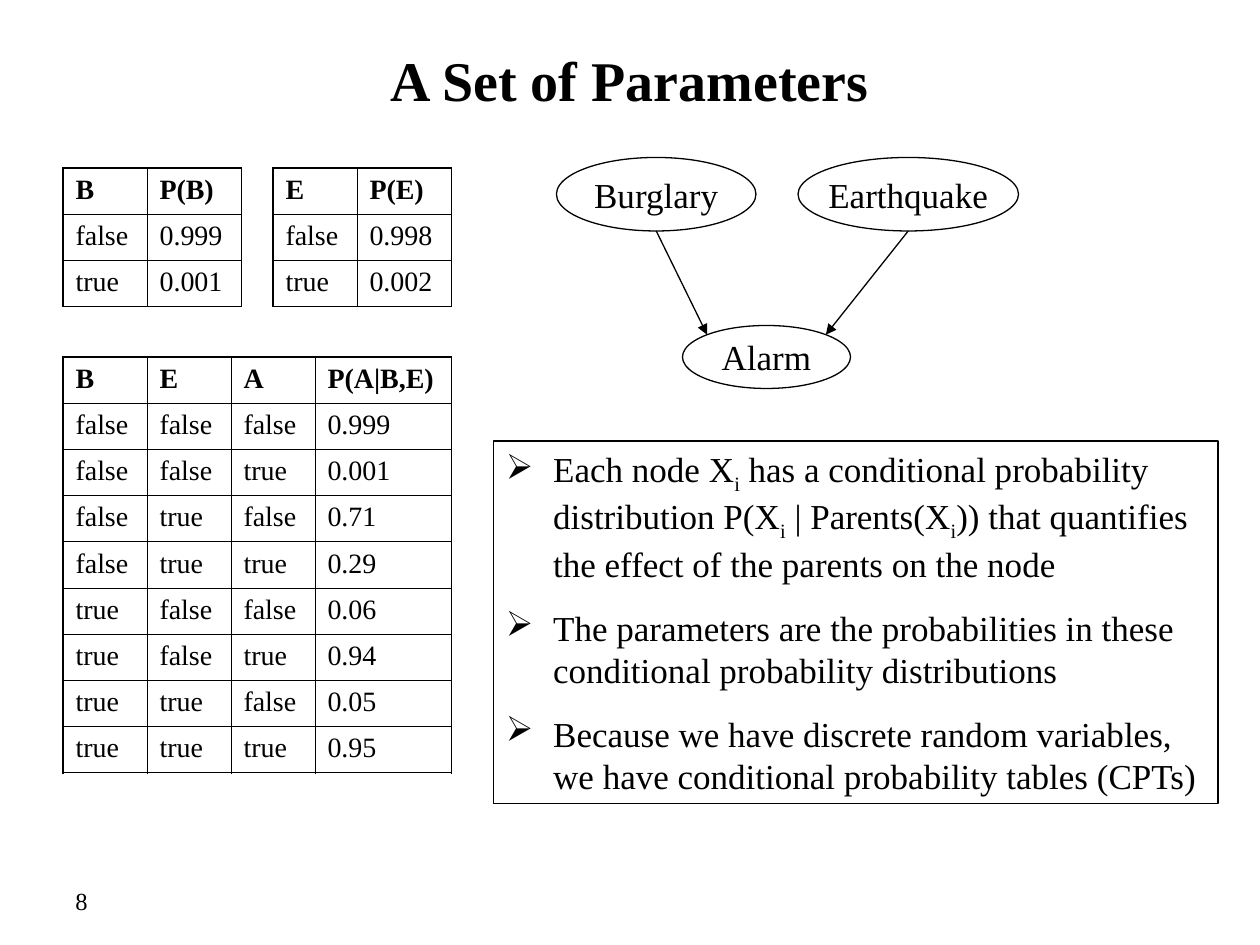
from dataclasses import dataclass
from math import sqrt

from lxml import etree
from pptx import Presentation
from pptx.dml.color import RGBColor
from pptx.enum import shapes, text
from pptx.oxml import ns
from pptx.util import Pt

FONT = "Times New Roman"
HEX = {"ink": "000000", "paper": "FFFFFF"}
INK = RGBColor.from_string(HEX["ink"])
THIN, THICK = 0.45, 1.08
ROW = 26.4
LEFT, MID = text.PP_ALIGN.LEFT, text.PP_ALIGN.CENTER


@dataclass
class Node:
    name: str
    x: float
    y: float
    w: float
    h: float

    @property
    def foot(self) -> tuple[float, float]:
        return self.x + self.w / 2, self.y + self.h

    def shoulder(self, side: int) -> tuple[float, float]:
        """Point on the rim at 45 degrees, left for -1 and right for 1."""
        return (self.x + self.w / 2 * (1 + side / sqrt(2)),
                self.y + self.h / 2 * (1 - 1 / sqrt(2)))


@dataclass
class Grid:
    x: float
    y: float
    cols: list[float]
    rows: list[str]


BURG = Node("Burglary", 318, 90, 114, 42)
QUAKE = Node("Earthquake", 456, 90, 126, 42)
ALARM = Node("Alarm", 390, 186, 96, 36)

GRIDS = [
    Grid(36, 96, [48, 54], ["B P(B)", "false 0.999", "true 0.001"]),
    Grid(156, 96, [48, 54], ["E P(E)", "false 0.998", "true 0.002"]),
    Grid(36, 204, [48, 48, 48, 78], [
        "B E A P(A|B,E)",
        "false false false 0.999",
        "false false true 0.001",
        "false true false 0.71",
        "false true true 0.29",
        "true false false 0.06",
        "true false true 0.94",
        "true true false 0.05",
        "true true true 0.95",
    ]),
]

# Underscores enclose subscripts
POINTS = [
    "Each node X_i_ has a conditional probability distribution "
    "P(X_i_ | Parents(X_i_)) that quantifies the effect of the parents on the node",
    "The parameters are the probabilities in these conditional "
    "probability distributions",
    "Because we have discrete random variables, we have conditional "
    "probability tables (CPTs)",
]


def sub(parent, tag: str, **attrs: str):
    return etree.SubElement(parent, ns.qn(tag), attrs)


def tint(parent, tag: str) -> None:
    sub(sub(parent, tag), "a:srgbClr", val=HEX["ink"])


def write(frame, *lines: str, size: float = 20, bold: bool = False,
          align=LEFT, gap: float = 0, mark: str = "") -> None:
    for i, line in enumerate(lines):
        para = frame.add_paragraph() if i else frame.paragraphs[0]
        para.alignment = align
        if mark:
            props = para._p.get_or_add_pPr()
            props.set("marL", str(Pt(27)))
            props.set("indent", str(Pt(-27)))
            tint(props, "a:buClr")
            sub(props, "a:buChar", char=mark)
        if i:
            para.space_before = Pt(gap)
        for j, part in enumerate(line.split("_")):
            run = para.add_run()
            run.text = part
            font = run.font
            font.name, font.size, font.bold = FONT, Pt(size), bold
            font.color.rgb = INK
            if j % 2:
                font._element.set("baseline", "-25000")


def box(slide, kind, x: float, y: float, w: float, h: float):
    shape = slide.shapes.add_shape(kind, Pt(x), Pt(y), Pt(w), Pt(h))
    shape.shadow.inherit = False
    shape.fill.background()
    shape.line.color.rgb = INK
    shape.line.width = Pt(0.75)
    return shape


def oval(slide, node: Node) -> None:
    shape = box(slide, shapes.MSO_SHAPE.OVAL, node.x, node.y, node.w, node.h)
    frame = shape.text_frame
    frame.word_wrap = False
    frame.vertical_anchor = text.MSO_ANCHOR.MIDDLE
    write(frame, node.name, align=MID)


def arrow(slide, start: tuple[float, float], end: tuple[float, float]) -> None:
    ends = [Pt(v) for v in (*start, *end)]
    link = slide.shapes.add_connector(shapes.MSO_CONNECTOR.STRAIGHT, *ends)
    link.line.color.rgb = INK
    link.line.width = Pt(0.75)
    sub(link.line._get_or_add_ln(), "a:tailEnd", type="triangle")
    sub(link._element.spPr, "a:effectLst")


def edge(cell, side: str, width: float) -> None:
    line = sub(cell._tc.get_or_add_tcPr(), f"a:ln{side}", w=str(Pt(width)))
    tint(line, "a:solidFill")


def table(slide, grid: Grid) -> None:
    rows, cols = len(grid.rows), len(grid.cols)
    tab = slide.shapes.add_table(rows, cols, Pt(grid.x), Pt(grid.y),
                                 Pt(sum(grid.cols)), Pt(ROW * rows)).table
    tab.first_row = tab.horz_banding = False
    for col, width in zip(tab.columns, grid.cols):
        col.width = Pt(width)
    for r, line in enumerate(grid.rows):
        tab.rows[r].height = Pt(ROW)
        for c, word in enumerate(line.split()):
            cell = tab.cell(r, c)
            outer = {"L": c == 0, "R": c == cols - 1,
                     "T": r == 0, "B": r == rows - 1}
            for side, rim in outer.items():
                edge(cell, side, THICK if rim else THIN)
            cell.fill.background()
            write(cell.text_frame, word, size=16, bold=r == 0)


def main() -> None:
    deck = Presentation()
    deck.slide_width, deck.slide_height = Pt(720), Pt(540)
    slide = deck.slides.add_slide(deck.slide_layouts[5])
    slide.background.fill.solid()
    slide.background.fill.fore_color.rgb = RGBColor.from_string(HEX["paper"])

    title = slide.shapes.title
    title.left, title.top, title.width, title.height = map(Pt, (54, 12, 612, 66))
    title.text_frame.vertical_anchor = text.MSO_ANCHOR.MIDDLE
    write(title.text_frame, "A Set of Parameters", size=32, bold=True, align=MID)

    for node in (ALARM, BURG, QUAKE):
        oval(slide, node)
    arrow(slide, BURG.foot, ALARM.shoulder(-1))
    arrow(slide, QUAKE.foot, ALARM.shoulder(1))

    for grid in GRIDS:
        table(slide, grid)

    notes = box(slide, shapes.MSO_SHAPE.RECTANGLE, 282, 252, 414, 207).text_frame
    notes.word_wrap = True
    notes.vertical_anchor = text.MSO_ANCHOR.TOP
    write(notes, *POINTS, gap=12.5, mark="➢")

    page = slide.shapes.add_textbox(Pt(36), Pt(500.4), Pt(168), Pt(28.8)).text_frame
    page.word_wrap = True
    page.vertical_anchor = text.MSO_ANCHOR.MIDDLE
    write(page, "8", size=14)

    deck.save("out.pptx")


if __name__ == "__main__":
    main()
